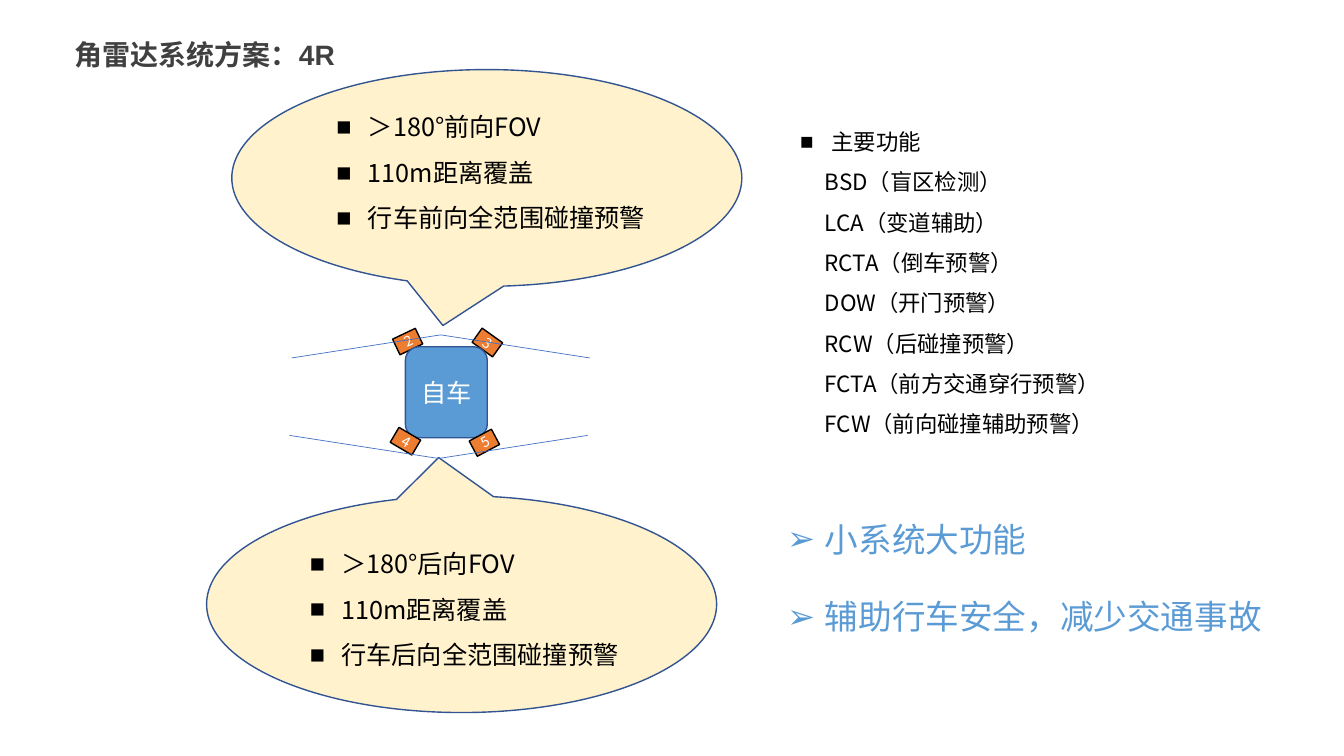
from pptx import Presentation
from pptx.dml.color import RGBColor
from pptx.enum.shapes import MSO_CONNECTOR, MSO_SHAPE
from pptx.enum.text import MSO_ANCHOR, MSO_AUTO_SIZE, PP_ALIGN
from pptx.oxml.ns import qn
from pptx.util import Pt
from lxml.etree import SubElement

WHITE = RGBColor(0xFF, 0xFF, 0xFF)
BLACK = RGBColor(0, 0, 0)
GREY = RGBColor(0x40, 0x40, 0x40)
CREAM = RGBColor(0xFF, 0xF2, 0xCC)
NAVY = RGBColor(0x32, 0x54, 0x91)
BLUE = RGBColor(0x5B, 0x9B, 0xD5)
BEAM = RGBColor(0x44, 0x72, 0xC4)
ORANGE = RGBColor(0xED, 0x7D, 0x31)
FONT = "Noto Sans CJK SC"

deck = Presentation()
deck.slide_width, deck.slide_height = Pt(960), Pt(540)
slide = deck.slides.add_slide(deck.slide_layouts[5])
shapes = slide.shapes


def style(para, size, color, latin=FONT):
    for run in para.runs:
        run.font.size = Pt(size)
        run.font.name = latin
        run.font.color.rgb = color
        SubElement(run._r.get_or_add_rPr(), qn("a:ea"), typeface=FONT)


def add_list(x, y, w, h, lines, size, color, mark, hang, gap=0, inset=None):
    box = shapes.add_textbox(Pt(x), Pt(y), Pt(w), Pt(h))
    frame = box.text_frame
    frame.text = "\n".join(lines)
    frame.word_wrap = True
    frame.auto_size = MSO_AUTO_SIZE.SHAPE_TO_FIT_TEXT
    for i, para in enumerate(frame.paragraphs):
        para.line_spacing = 1.5
        para.space_before = Pt(gap)
        style(para, size, color)
        props = para._p.get_or_add_pPr()
        if i and inset:
            props.set("marL", str(Pt(inset)))
            continue
        props.set("marL", str(Pt(hang)))
        props.set("indent", str(-Pt(hang)))
        SubElement(props, qn("a:buFont"), typeface="Arial")
        SubElement(props, qn("a:buChar"), char=mark)


# Title
title = shapes.title
title.left, title.top, title.width, title.height = Pt(46), Pt(22.3), Pt(552), Pt(36)
frame = title.text_frame
frame.text = "角雷达系统方案：4R"
frame.vertical_anchor = MSO_ANCHOR.MIDDLE
para = frame.paragraphs[0]
para.alignment = PP_ALIGN.LEFT
para.line_spacing = 0.9
para.space_before = Pt(10)
style(para, 20, GREY, "Arial")
para.runs[0].font.bold = True

# Callouts: left, top, tail offsets
for x, y, dx, dy in [(165.6, 49.7, -0.086, 0.681), (147.6, 354.2, -0.045, -0.677)]:
    bubble = shapes.add_shape(MSO_SHAPE.OVAL_CALLOUT, Pt(x), Pt(y), Pt(364.3), Pt(154.8))
    bubble.adjustments[0], bubble.adjustments[1] = dx, dy
    bubble.shadow.inherit = False
    bubble.fill.solid()
    bubble.fill.fore_color.rgb = CREAM
    bubble.line.color.rgb = NAVY
    bubble.line.width = Pt(1)

# Car and its corner radars: text, left, top, turn
for text, x, y, turn in [("3", 339.1, 238.5, 35.5), ("2", 282.2, 237.8, 334.6),
                         ("自车", 289.6, 247.7, 0),
                         ("5", 337, 310.1, 332), ("4", 280.6, 309, 30.5)]:
    car = text == "自车"
    kind = MSO_SHAPE.ROUNDED_RECTANGLE if car else MSO_SHAPE.RECTANGLE
    w, h = (58.5, 65) if car else (18, 12.4)
    part = shapes.add_shape(kind, Pt(x), Pt(y), Pt(w), Pt(h))
    part.rotation = turn
    part.shadow.inherit = False
    part.fill.solid()
    part.fill.fore_color.rgb = BLUE if car else ORANGE
    part.line.color.rgb = NAVY if car else BLACK
    part.line.width = Pt(1)
    frame = part.text_frame
    frame.text = text
    frame.vertical_anchor = MSO_ANCHOR.MIDDLE
    frame.paragraphs[0].alignment = PP_ALIGN.CENTER
    style(frame.paragraphs[0], 18 if car else 10, WHITE)

# Edges of the radar view: apex and drop
for x, y, drop in [(314.8, 239.2, 16.5), (313.3, 327.5, -16.5)]:
    for reach in (-106.5, 106.5):
        edge = shapes.add_connector(MSO_CONNECTOR.STRAIGHT, Pt(x), Pt(y),
                                    Pt(x + reach), Pt(y + drop))
        edge.line.color.rgb = BEAM
        edge.line.width = Pt(0.5)
        SubElement(edge._element.spPr, qn("a:effectLst"))

# Callout text
for x, y, side in [(233.3, 65.5, "前"), (214.2, 377.5, "后")]:
    lines = [f"＞180°{side}向FOV", "110m距离覆盖", f"行车{side}向全范围碰撞预警"]
    add_list(x, y, 237.6, 102.2, lines, 18, BLACK, "■", 22.5)

# Benefits
add_list(555.1, 352.8, 387.4, 102.2, ["小系统大功能", "辅助行车安全，减少交通事故"],
         24, BLUE, "➢", 27, gap=12)

# Functions
add_list(564.5, 78.5, 309.6, 236.9,
         ["主要功能", "BSD（盲区检测）", "LCA（变道辅助）", "RCTA（倒车预警）",
          "DOW（开门预警）", "RCW（后碰撞预警）", "FCTA（前方交通穿行预警）",
          "FCW（前向碰撞辅助预警）"],
         16, BLACK, "■", 22.5, inset=17.6)

deck.save("out.pptx")
